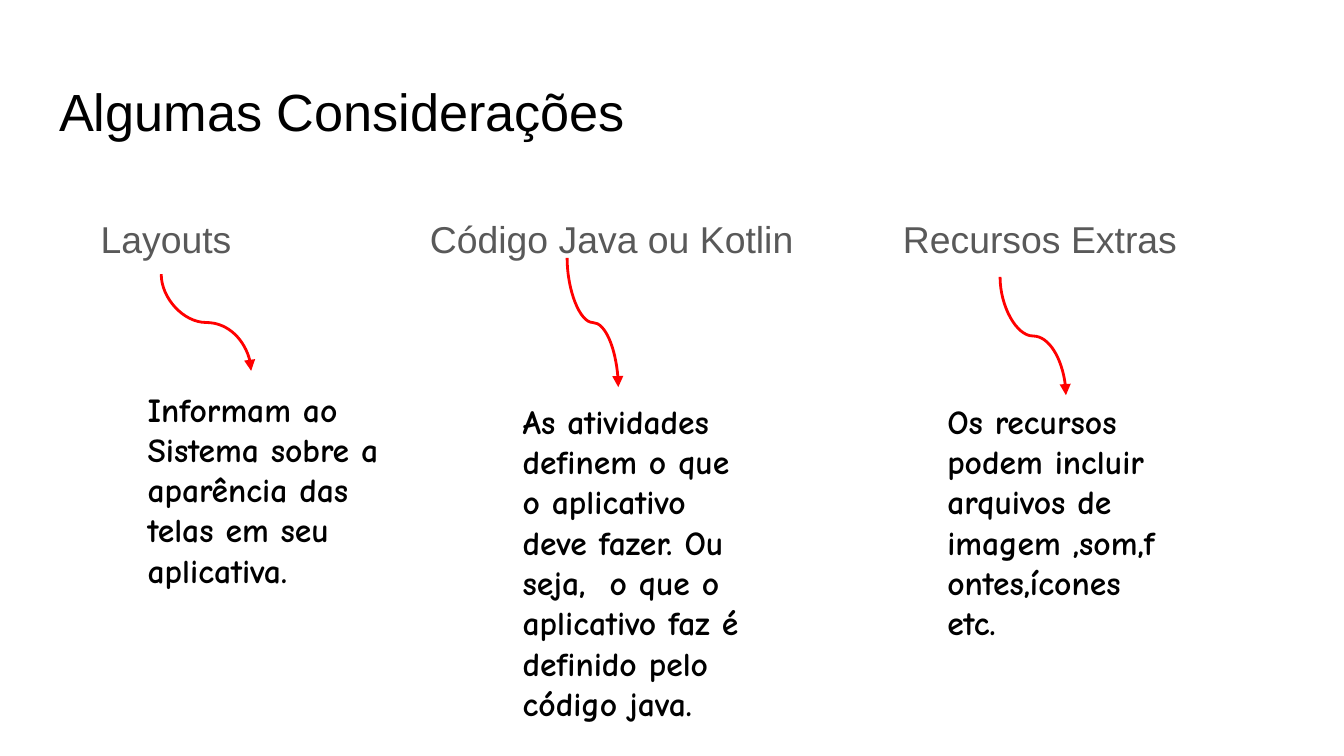
from lxml.etree import SubElement
from pptx import Presentation
from pptx.dml.color import RGBColor
from pptx.enum.shapes import MSO_CONNECTOR
from pptx.enum.text import MSO_ANCHOR, MSO_AUTO_SIZE, PP_ALIGN
from pptx.oxml.ns import qn
from pptx.util import Pt

TITLE = "Algumas Considerações"
TITLE_BOX = (24.5, 35.3, 671, 45.4)
HEADING_TOP = 105.1
ARROW_COLOR = "FF0000"

# Boxes are left, top, width, height; arrows are start x, start y, end x, end y.
COLUMNS = [
    {
        "heading": "Layouts",
        "heading_box": (46.8, HEADING_TOP, 87.8, 45.4),
        "arrow": (86.4, 146.9, 134.6, 198.7),
        "body": "Informam ao Sistema sobre a aparência das telas em seu aplicativa.",
        "body_box": (72, 200.9, 138.2, 102.2),
    },
    {
        "heading": "Código Java ou Kotlin",
        "heading_box": (223.2, HEADING_TOP, 257.8, 39.6),
        "arrow": (303.8, 138.2, 331.2, 207.4),
        "body": "As atividades definem o que o aplicativo deve fazer. Ou seja,  "
                "o que o aplicativo faz é definido pelo código java.",
        "body_box": (272.9, 207.4, 138.2, 162),
    },
    {
        "heading": "Recursos Extras",
        "heading_box": (476.6, HEADING_TOP, 199.4, 29.5),
        "arrow": (535.7, 148.3, 571, 211.7),
        "body": "Os recursos podem incluir arquivos de imagem ,som,fontes,ícones etc.",
        "body_box": (500.4, 207.4, 132.5, 116.6),
    },
]

TITLE_STYLE = {"font": {"name": "Arial", "size": Pt(28), "bold": False},
               "color": "000000", "spacing": 1.0}
HEADING_STYLE = {"font": {"name": "Arial", "size": Pt(20), "bold": False},
                 "color": "595959", "spacing": 1.15}
BODY_STYLE = {"font": {"name": "Comic Neue", "size": Pt(18), "bold": True},
              "color": "000000", "spacing": 1.0}
FRAME_FORMAT = {
    "word_wrap": True, "auto_size": MSO_AUTO_SIZE.NONE,
    "vertical_anchor": MSO_ANCHOR.TOP,
    "margin_left": Pt(7.2), "margin_right": Pt(7.2),
    "margin_top": Pt(7.2), "margin_bottom": Pt(7.2),
}


def set_color(color_format, hex_color):
    color_format.rgb = RGBColor.from_string(hex_color)


def set_attributes(target, values):
    for name, value in values.items():
        setattr(target, name, value)


def write_text(shape, text, style):
    frame = shape.text_frame
    set_attributes(frame, FRAME_FORMAT)
    paragraph = frame.paragraphs[0]
    set_attributes(paragraph, {"alignment": PP_ALIGN.LEFT,
                               "line_spacing": style["spacing"]})
    run = paragraph.add_run()
    run.text = text
    set_attributes(run.font, style["font"])
    set_color(run.font.color, style["color"])


def add_text(slide, text, box, style):
    shape = slide.shapes.add_textbox(*map(Pt, box))
    write_text(shape, text, style)


def add_curved_arrow(slide, start_x, start_y, end_x, end_y):
    """Draw an S curve that leaves and arrives vertically.

    The preset curve runs horizontally, so it is laid out on its side,
    mirrored, and turned by 270 degrees about its centre.
    """
    center_x, center_y = (start_x + end_x) / 2, (start_y + end_y) / 2
    half_width, half_height = (end_y - start_y) / 2, (end_x - start_x) / 2
    arrow = slide.shapes.add_connector(
        MSO_CONNECTOR.CURVE,
        Pt(center_x + half_width), Pt(center_y - half_height),
        Pt(center_x - half_width), Pt(center_y + half_height))
    arrow.line.width = Pt(1.5)
    arrow.line.fill.solid()
    set_color(arrow.line.color, ARROW_COLOR)
    properties = arrow._element.spPr
    properties.find(qn("a:xfrm")).set("rot", str(270 * 60000))
    SubElement(properties.find(qn("a:ln")), qn("a:tailEnd"), type="triangle")
    SubElement(properties, qn("a:effectLst"))


def main():
    presentation = Presentation()
    presentation.slide_width, presentation.slide_height = Pt(720), Pt(405)
    slide = presentation.slides.add_slide(presentation.slide_layouts.get_by_name("Title Only"))
    title = slide.shapes.title
    set_attributes(title, dict(zip(("left", "top", "width", "height"), map(Pt, TITLE_BOX))))
    write_text(title, TITLE, TITLE_STYLE)
    for column in COLUMNS:
        add_text(slide, column["heading"], column["heading_box"], HEADING_STYLE)
        add_text(slide, column["body"], column["body_box"], BODY_STYLE)
        add_curved_arrow(slide, *column["arrow"])
    presentation.save("out.pptx")


if __name__ == "__main__":
    main()
